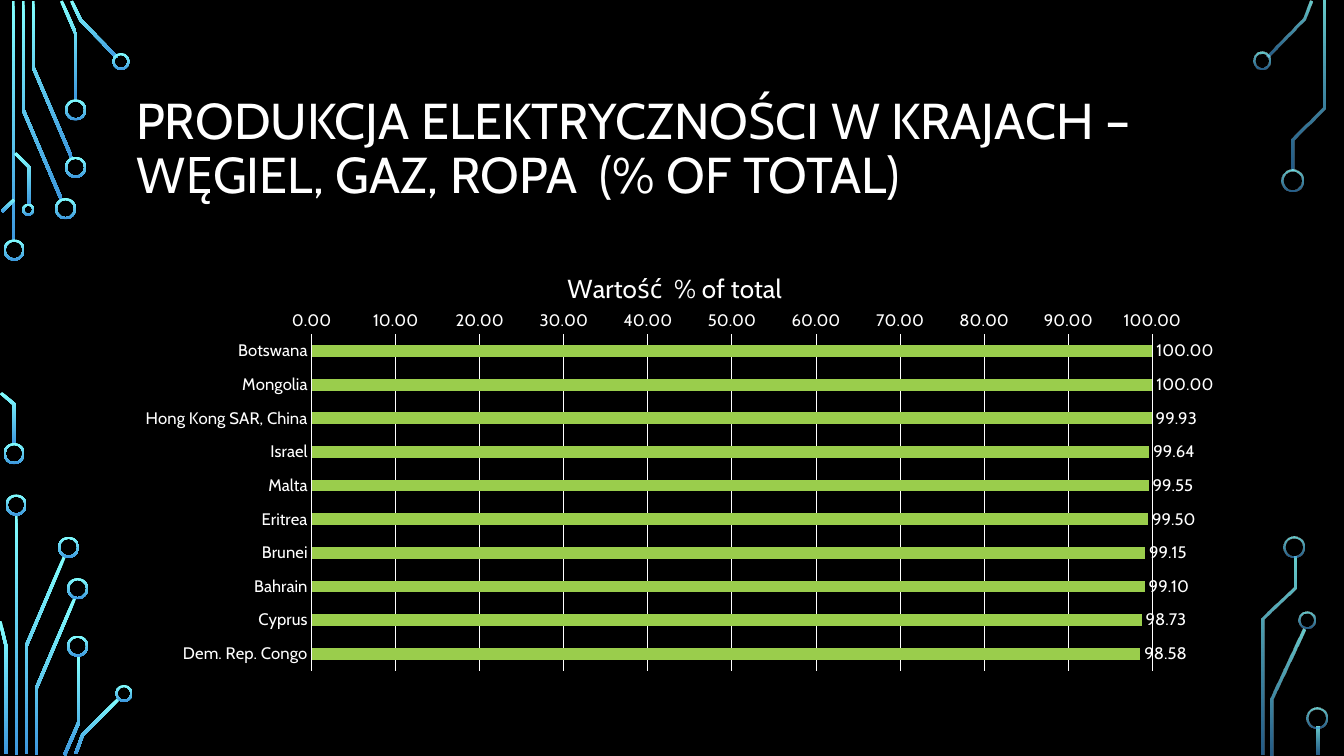
from dataclasses import dataclass
from math import hypot

from lxml.etree import SubElement, fromstring
from pptx import Presentation
from pptx.chart.data import CategoryChartData
from pptx.dml.color import RGBColor as Rgb
from pptx.enum.chart import XL_CHART_TYPE as Kind
from pptx.enum.chart import XL_LABEL_POSITION as Spot
from pptx.enum.chart import XL_TICK_MARK as Tick
from pptx.enum.shapes import MSO_SHAPE as Form
from pptx.enum.text import MSO_ANCHOR as Anchor
from pptx.enum.text import MSO_AUTO_SIZE as Fit
from pptx.enum.text import PP_ALIGN as Align
from pptx.oxml.ns import nsdecls, qn
from pptx.util import Inches, Pt


@dataclass(frozen=True)
class Theme:
    font: str = "Cabin"
    back: Rgb = Rgb(0, 0, 0)
    ink: Rgb = Rgb(255, 255, 255)
    bar: Rgb = Rgb(0x9A, 0xCD, 0x4C)
    glow: tuple = (Rgb(0x82, 0xFF, 0xFF), Rgb(0x3D, 0x97, 0xDE))
    head: float = 36
    name: float = 18.6
    label: float = 11.9
    wire: float = 0.03
    rim: float = 0.02


LOOK = Theme()

# Circuit art: wires as centre lines, rings as centre x, centre y, diameter
LEFT_WIRES = [
    [(0.13, 0.01), (0.13, 2.4)],
    [(0.23, 0.01), (0.23, 1.09), (0.61, 1.98)],
    [(0.33, 0.01), (0.33, 0.67), (0.71, 1.56)],
    [(0.61, 0.01), (0.75, 0.33), (0.75, 1)],
    [(0.71, 0.01), (0.8, 0.2), (1.16, 0.57)],
    [(0.02, 2.1), (0.14, 1.98)],
    [(0.01, 3.9), (0.14, 4.01), (0.14, 4.41)],
    [(0.15, 1.52), (0.29, 1.66), (0.29, 2.03)],
    [(0.16, 5.1), (0.16, 7.49)],
    [(0.26, 7.48), (0.26, 6.41), (0.64, 5.52)],
    [(0.06, 7.48), (0.06, 6.41), (0, 6.16)],
    [(0.36, 7.49), (0.36, 6.83), (0.74, 5.94)],
    [(0.64, 7.49), (0.78, 7.17), (0.78, 6.5)],
    [(0.75, 7.48), (0.82, 7.29), (1.18, 6.93)],
]
LEFT_RINGS = [
    (0.14, 2.48, 0.21), (0.14, 4.5, 0.21), (0.65, 2.07, 0.21),
    (0.75, 1.66, 0.21), (0.75, 1.09, 0.21), (1.2, 0.61, 0.17),
    (0.28, 2.08, 0.12), (0.16, 5.01, 0.21), (0.68, 5.43, 0.21),
    (0.77, 5.84, 0.21), (0.77, 6.41, 0.21), (1.23, 6.88, 0.17),
]
RIGHT_WIRES = [
    [(13, 0.01), (12.93, 0.19), (12.57, 0.56)],
    [(13.13, 0.01), (13.13, 1.07), (12.82, 1.38), (12.82, 1.69)],
    [(12.62, 7.49), (12.62, 6.93), (12.93, 6.24)],
    [(12.84, 5.52), (12.84, 5.83), (12.53, 6.14), (12.53, 7.49)],
    [(13.07, 7.21), (13.07, 7.49)],
]
RIGHT_RINGS = [
    (12.52, 0.6, 0.17), (12.82, 1.79, 0.21), (12.96, 6.15, 0.17),
    (12.83, 5.43, 0.21), (13.06, 7.12, 0.21),
]
SHARES = {
    "Botswana": 100, "Mongolia": 100, "Hong Kong SAR, China": 99.93,
    "Israel": 99.64, "Malta": 99.55, "Eritrea": 99.5, "Brunei": 99.15,
    "Bahrain": 99.1, "Cyprus": 98.73, "Dem. Rep. Congo": 98.58,
}


def style(font, size):
    font.name, font.size, font.bold = LOOK.font, Pt(size), False
    font.color.rgb = LOOK.ink


def put(frame, text, size, align=Align.LEFT, space=None):
    par = frame.paragraphs[0]
    par.alignment = align
    if space:
        par.line_spacing = space
    run = par.add_run()
    run.text = text
    style(run.font, size)


def tint(shape, alphas):
    shape.shadow.inherit = False
    shape.line.fill.background()
    shape.fill.gradient()
    shape.fill.gradient_angle = 270
    for stop, tone in zip(shape.fill.gradient_stops, LOOK.glow):
        stop.color.rgb = tone
    if alphas:
        for tone, part in zip(shape.element.iter(qn("a:srgbClr")), alphas):
            SubElement(tone, qn("a:alpha")).set("val", str(part * 1000))


def edge(line, half):
    """Both sides of a centre line, with mitred corners, as one outline."""
    norms = []
    for (ax, ay), (bx, by) in zip(line, line[1:]):
        size = hypot(bx - ax, by - ay)
        norms.append(((ay - by) / size, (bx - ax) / size))
    near, far = [], []
    for (x, y), (px, py), (qx, qy) in zip(
            line, norms[:1] + norms, norms + norms[-1:]):
        grow = half / (1 + px * qx + py * qy)
        dx, dy = (px + qx) * grow, (py + qy) * grow
        near.append((x + dx, y + dy))
        far.append((x - dx, y - dy))
    return near + far[::-1]


def wire(slide, line, alphas):
    (x, top), (end, low) = line[0], line[-1]
    if len(line) == 2 and x == end:
        shape = slide.shapes.add_shape(
            Form.RECTANGLE, Inches(x - LOOK.wire / 2), Inches(top),
            Inches(LOOK.wire), Inches(low - top))
    else:
        dots = [(Inches(a), Inches(b)) for a, b in edge(line, LOOK.wire / 2)]
        pen = slide.shapes.build_freeform(*dots[0])
        pen.add_line_segments(dots[1:], close=True)
        shape = pen.convert_to_shape()
    tint(shape, alphas)


def circuit(slide, wires, rings, alphas=None):
    for line in wires:
        wire(slide, line, alphas)
    for x, y, size in rings:
        ring = slide.shapes.add_shape(
            Form.DONUT, Inches(x - size / 2), Inches(y - size / 2),
            Inches(size), Inches(size))
        ring.adjustments[0] = LOOK.rim / size
        tint(ring, alphas)


def heading(slide, box, text):
    title = slide.shapes.title
    title.left, title.top, title.width, title.height = map(Inches, box)
    frame = title.text_frame
    frame.word_wrap, frame.auto_size = True, Fit.NONE
    frame.vertical_anchor = Anchor.MIDDLE
    put(frame, text, LOOK.head, space=0.9)


def layout(x, y, w=None, h=None):
    rows = "" if w else '<c:xMode val="edge"/><c:yMode val="edge"/>'
    if w:
        rows = ('<c:layoutTarget val="inner"/><c:xMode val="edge"/>'
                '<c:yMode val="edge"/>')
    for key, val in zip("xywh", (x, y, w, h)):
        if val is not None:
            rows += f'<c:{key} val="{val}"/>'
    return fromstring(f'<c:layout {nsdecls("c")}><c:manualLayout>{rows}'
                      '</c:manualLayout></c:layout>')


def place(part, after, spot):
    for old in part.findall(qn("c:layout")):
        part.remove(old)
    if after:
        part.find(qn(after)).addnext(spot)
    else:
        part.insert(0, spot)


def bars(slide, box, name, shares):
    data = CategoryChartData(number_format="0.00")
    data.categories = list(shares)
    data.add_series("Series 1", list(shares.values()))
    chart = slide.shapes.add_chart(
        Kind.BAR_CLUSTERED, *map(Inches, box), data).chart
    style(chart.font, LOOK.label)
    chart.has_legend = False

    # Title and plot area
    chart.has_title = True
    put(chart.chart_title.text_frame, name, LOOK.name, align=Align.CENTER)
    chart.chart_title.include_in_layout = False
    root = chart.element.find(qn("c:chart"))
    place(root.find(qn("c:title")), "c:tx", layout(0.4, 0.04))
    place(root.find(qn("c:plotArea")), None, layout(0.17, 0.2, 0.77, 0.78))

    # Axes
    cats, vals = chart.category_axis, chart.value_axis
    for axis in (cats, vals):
        axis.major_tick_mark = axis.minor_tick_mark = Tick.NONE
        style(axis.tick_labels.font, LOOK.label)
    cats.reverse_order = True
    vals.minimum_scale, vals.maximum_scale, vals.major_unit = 0, 100, 10
    vals.tick_labels.number_format = "0.00"
    vals.tick_labels.number_format_is_linked = False
    vals.format.line.fill.background()
    for line in (cats.format.line, vals.major_gridlines.format.line):
        line.color.rgb, line.width = LOOK.ink, Pt(0.75)

    # Bars and their values
    plot = chart.plots[0]
    plot.gap_width, plot.vary_by_categories = 182, False
    row = plot.series[0]
    row.format.fill.solid()
    row.format.fill.fore_color.rgb = LOOK.bar
    tags = row.data_labels
    tags.show_value, tags.position = True, Spot.OUTSIDE_END
    tags.number_format, tags.number_format_is_linked = "0.00", False
    style(tags.font, LOOK.label)


def main():
    deck = Presentation()
    deck.slide_width, deck.slide_height = Inches(13.33), Inches(7.5)
    slide = deck.slides.add_slide(deck.slide_layouts[5])
    slide.background.fill.solid()
    slide.background.fill.fore_color.rgb = LOOK.back
    circuit(slide, LEFT_WIRES, LEFT_RINGS)
    circuit(slide, RIGHT_WIRES, RIGHT_RINGS, alphas=(80, 60))
    heading(slide, (1.25, 0.68, 10.83, 1.62),
            "PRODUKCJA ELEKTRYCZNOŚCI W KRAJACH – "
            "WĘGIEL, GAZ, ROPA  (% OF TOTAL)")
    bars(slide, (1.25, 2.46, 10.83, 4.28), "Wartość  % of total", SHARES)
    deck.save("out.pptx")


if __name__ == "__main__":
    main()
